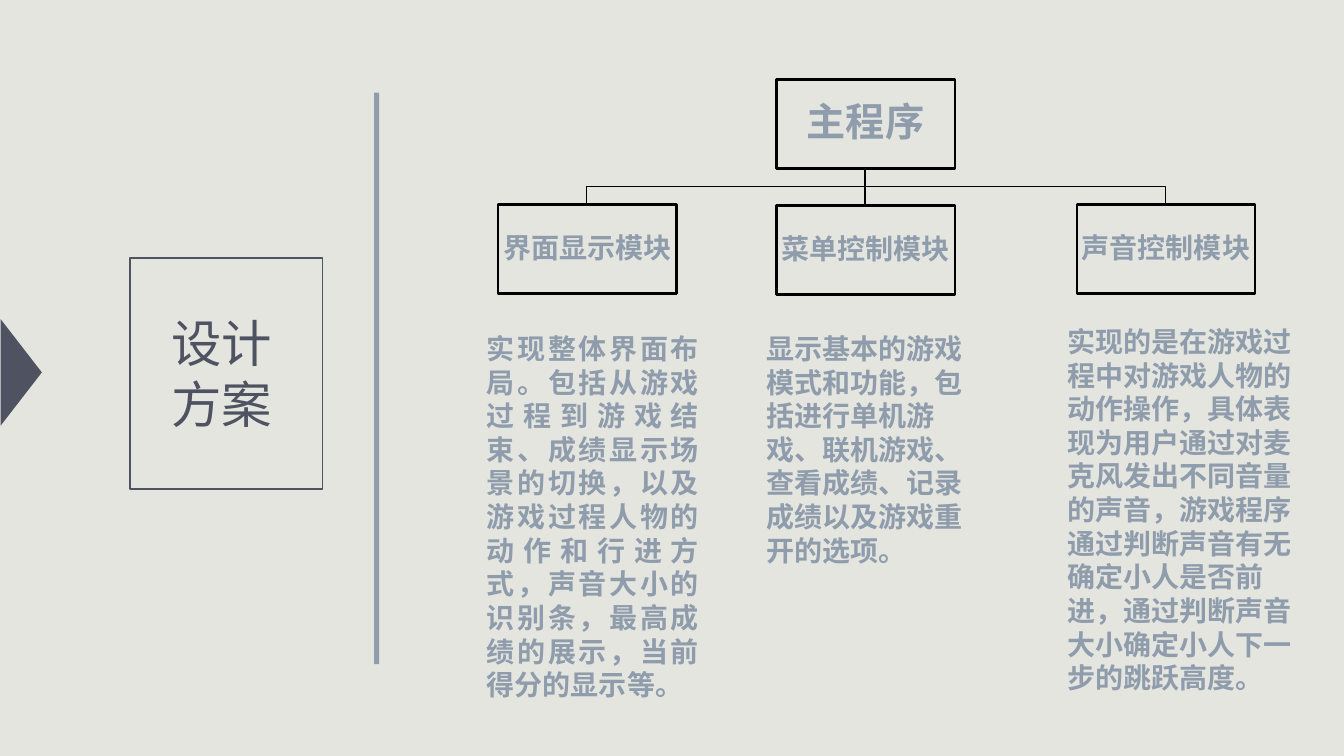
from dataclasses import dataclass

import pptx
import pptx.dml.color
import pptx.enum.lang
import pptx.enum.shapes
import pptx.enum.text
import pptx.oxml
import pptx.oxml.ns
import pptx.util

PX = 9144  # EMU per px, 100 px to the inch
INK, MIST, BLACK, PAPER = "4F5261", "8E9CAC", "000000", "E5E5E0"
CJK = "Noto Sans CJK TC"
SHAPE = pptx.enum.shapes.MSO_SHAPE
ALIGN = pptx.enum.text.PP_ALIGN
ANCHOR = pptx.enum.text.MSO_ANCHOR
NODE_W, NODE_H = 177, 88


@dataclass
class Node:
    text: str
    x: int
    y: int
    size: int = 20
    inset: int = 1


@dataclass
class Note:
    text: str
    x: int
    y: int
    w: int
    h: int
    align: ALIGN = ALIGN.LEFT


ROOT = Node("主程序", 770, 79, 28, 2)
MODULES = [
    Node("界面显示模块", 494, 203),
    Node("菜单控制模块", 770, 204),
    Node("声音控制模块", 1068, 203),
]
NOTES = [
    Note("实现整体界面布局。包括从游戏过程到游戏结束、成绩显示场景的切换，以及游戏过程人物的"
         "动作和行进方式，声音大小的识别条，最高成绩的展示，当前得分的显示等。",
         473, 324, 230, 380, ALIGN.JUSTIFY_LOW),
    Note("显示基本的游戏模式和功能，包括进行单机游戏、联机游戏、查看成绩、记录成绩以及游戏重开的选项。",
         750, 324, 230, 246),
    Note("实现的是在游戏过程中对游戏人物的动作操作，具体表现为用户通过对麦克风发出不同音量的声音，"
         "游戏程序通过判断声音有无确定小人是否前进，通过判断声音大小确定小人下一步的跳跃高度。",
         1049, 317, 245, 380),
]


def px(*lengths: int) -> list[int]:
    return [n * PX for n in lengths]


def rgb(colour: str) -> pptx.dml.color.RGBColor:
    return pptx.dml.color.RGBColor.from_string(colour)


def set_attrs(target, values: dict) -> None:
    for name, value in values.items():
        setattr(target, name, value)


def stroke(sp, colour: str, width: float) -> None:
    sp.line.color.rgb = rgb(colour)
    sp.line.width = pptx.util.Pt(width)


def write(tf, text: str, size: int, font: str, colour: str, bold: bool,
          frame: dict, para: dict) -> None:
    """Put one formatted paragraph in a text frame, with no hanging punctuation."""
    set_attrs(tf, {"word_wrap": True, **frame})
    p = tf.paragraphs[0]
    set_attrs(p, para)
    p._p.get_or_add_pPr().set("hangingPunct", "0")
    r = p.add_run()
    r.text = text
    set_attrs(r.font, {
        "name": font, "size": pptx.util.Pt(size), "bold": bold,
        "language_id": pptx.enum.lang.MSO_LANGUAGE_ID.SIMPLIFIED_CHINESE,
    })
    r.font.color.rgb = rgb(colour)
    ea = pptx.oxml.parse_xml(f'<a:ea {pptx.oxml.ns.nsdecls("a")} typeface="{font}"/>')
    r.font._element.find(pptx.oxml.ns.qn("a:latin")).addnext(ea)


def add_block(s, kind: SHAPE, box: list[int], fill: str = "",
              line: str = "", width: float = 1):
    sp = s.shapes.add_shape(kind, *px(*box))
    sp.shadow.inherit = False
    if fill:
        sp.fill.solid()
        sp.fill.fore_color.rgb = rgb(fill)
    else:
        sp.fill.background()
    if line:
        stroke(sp, line, width)
    else:
        sp.line.fill.background()
    return sp


def add_branch(s, child: Node) -> None:
    """Link the root's bottom to the child's top, with a bend if they are not aligned."""
    x0, x1 = (n.x + NODE_W // 2 for n in (ROOT, child))
    y0, y1 = ROOT.y + NODE_H, child.y
    if x0 == x1:
        sp = s.shapes.add_connector(
            pptx.enum.shapes.MSO_CONNECTOR.STRAIGHT, *px(x0, y0, x1, y1))
        sp._element.spPr.append(
            pptx.oxml.parse_xml(f'<a:effectLst {pptx.oxml.ns.nsdecls("a")}/>'))
    else:
        mid = (y0 + y1) // 2
        builder = s.shapes.build_freeform(*px(x0, y0))
        builder.add_line_segments(
            [px(x0, mid), px(x1, mid), px(x1, y1)], close=False)
        sp = builder.convert_to_shape()
        sp.shadow.inherit = False
        sp.fill.background()
    stroke(sp, BLACK, 1)


def add_node(s, node: Node) -> None:
    sp = add_block(s, SHAPE.RECTANGLE, [node.x, node.y, NODE_W, NODE_H],
                   line=BLACK, width=1.75)
    sides = ("left", "top", "right", "bottom")
    frame = {f"margin_{side}": node.inset * PX for side in sides}
    write(sp.text_frame, node.text, node.size, CJK, MIST, True,
          {"vertical_anchor": ANCHOR.MIDDLE, **frame},
          {"alignment": ALIGN.CENTER, "line_spacing": 0.9})


def add_note(s, note: Note) -> None:
    sp = s.shapes.add_textbox(*px(note.x, note.y, note.w, note.h))
    write(sp.text_frame, note.text, 20, CJK, MIST, True, {}, {"alignment": note.align})


def add_title(s) -> None:
    title = s.shapes.title
    set_attrs(title, dict(zip(("left", "top", "width", "height"),
                              px(160, 305, 146, 131))))
    write(title.text_frame, "设计方案", 36, "Calibri", INK, False,
          {"vertical_anchor": ANCHOR.TOP,
           "auto_size": pptx.enum.text.MSO_AUTO_SIZE.NONE},
          {"alignment": ALIGN.LEFT})


def main() -> None:
    prs = pptx.Presentation()
    prs.slide_width, prs.slide_height = px(1333, 750)
    s = prs.slides.add_slide(prs.slide_layouts.get_by_name("Title Only"))
    s.background.fill.solid()
    s.background.fill.fore_color.rgb = rgb(PAPER)

    add_title(s)
    add_block(s, SHAPE.RECTANGLE, [371, 92, 5, 567], fill=MIST)
    add_block(s, SHAPE.RECTANGLE, [129, 256, 191, 229], line=INK)
    pointer = add_block(s, SHAPE.ISOSCELES_TRIANGLE, [-32, 349, 106, 41], fill=INK)
    pointer.rotation = 90

    for module in MODULES:
        add_branch(s, module)
    for node in [ROOT, *MODULES]:
        add_node(s, node)
    for note in NOTES:
        add_note(s, note)
    prs.save("out.pptx")


if __name__ == "__main__":
    main()
